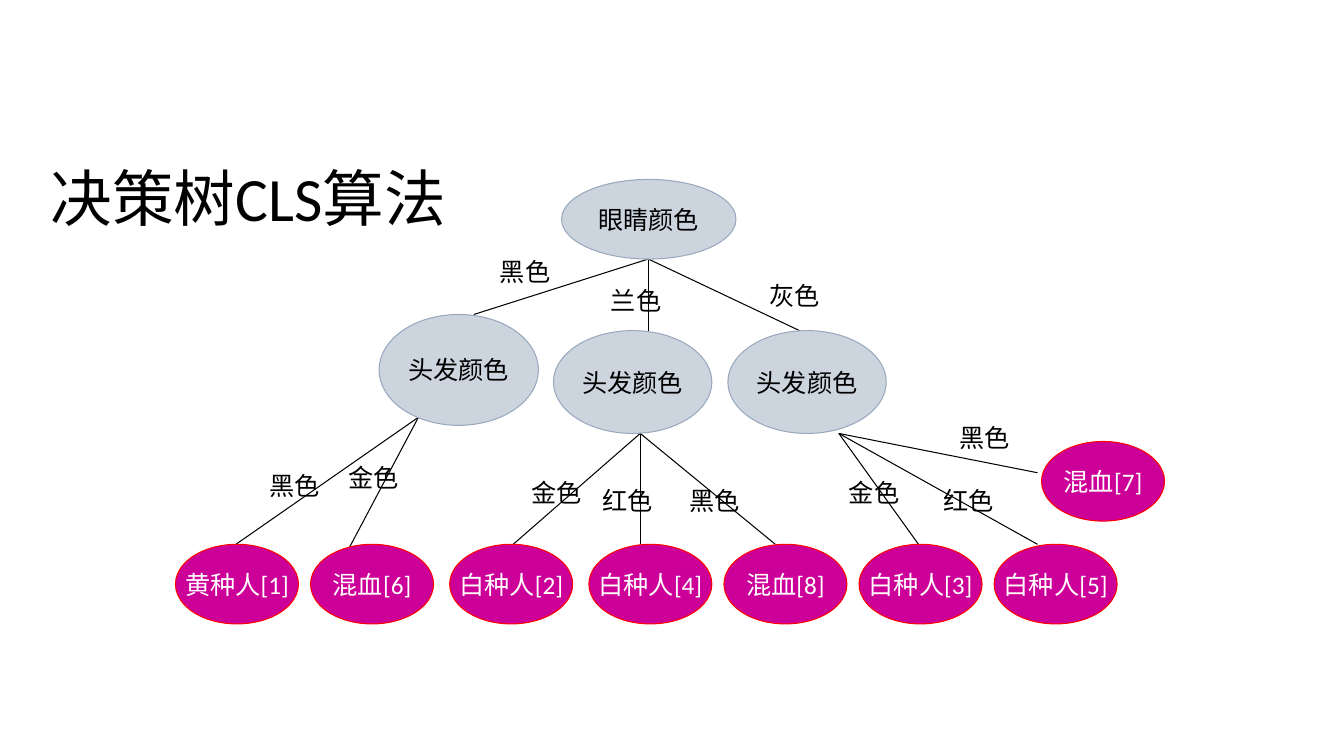
from lxml import etree
from pptx import Presentation
from pptx.dml.color import RGBColor
from pptx.enum.shapes import MSO_CONNECTOR, MSO_SHAPE
from pptx.enum.text import MSO_ANCHOR, MSO_AUTO_SIZE, PP_ALIGN
from pptx.oxml.ns import qn
from pptx.util import Inches, Pt

STRAIGHT = MSO_CONNECTOR.STRAIGHT
OVAL = MSO_SHAPE.OVAL
MIDDLE = MSO_ANCHOR.MIDDLE
LEFT, CENTER = PP_ALIGN.LEFT, PP_ALIGN.CENTER
NO_RESIZE, GROW = MSO_AUTO_SIZE.NONE, MSO_AUTO_SIZE.SHAPE_TO_FIT_TEXT

BLACK, WHITE = "000000", "FFFFFF"
QUESTION_FILL, QUESTION_LINE = "CCD4DE", "99A8BD"
LEAF_FILL, LEAF_LINE = "CC0099", "FF0000"
LINE_WIDTH = Pt(0.75)
LEAF_WIDTH, LEAF_HEIGHT, LEAF_TOP = 1.22, 0.79, 5.4

QUESTIONS = [
    ("眼睛颜色", (5.57, 1.78, 1.73, 0.79)),
    ("头发颜色", (3.76, 3.12, 1.58, 1.1)),
    ("头发颜色", (5.49, 3.28, 1.57, 1.02)),
    ("头发颜色", (7.22, 3.28, 1.57, 1.02)),
]
LEAVES = [
    ("黄种人[1]", 1.74, LEAF_TOP),
    ("混血[6]", 3.08, LEAF_TOP),
    ("白种人[2]", 4.46, LEAF_TOP),
    ("白种人[4]", 5.84, LEAF_TOP),
    ("混血[8]", 7.18, LEAF_TOP),
    ("白种人[3]", 8.52, LEAF_TOP),
    ("白种人[5]", 9.86, LEAF_TOP),
    ("混血[7]", 10.33, 4.38),
]
BRANCHES = [
    ((6.43, 2.57), [
        ("黑色", (4.86, 2.49), (4.7, 3.12)),
        ("兰色", (5.96, 2.78), (6.43, 3.36)),
        ("灰色", (7.53, 2.73), (7.93, 3.28)),
    ]),
    ((4.15, 4.14), [
        ("黑色", (2.57, 4.62), (2.34, LEAF_TOP)),
        ("金色", (3.36, 4.54), (3.44, 5.48)),
    ]),
    ((6.35, 4.3), [
        ("金色", (5.17, 4.69), (5.09, LEAF_TOP)),
        ("红色", (5.88, 4.77), (6.35, LEAF_TOP)),
        ("黑色", (6.74, 4.77), (7.69, LEAF_TOP)),
    ]),
    ((8.32, 4.3), [
        ("金色", (8.32, 4.69), (9.11, LEAF_TOP)),
        ("红色", (9.26, 4.77), (10.29, LEAF_TOP)),
        ("黑色", (9.42, 4.14), (10.29, 4.69)),
    ]),
]


def color(value):
    return RGBColor.from_string(value)


def write_text(shape, text, size, text_color, align):
    para = shape.text_frame.paragraphs[0]
    para.text = text
    para.alignment = align
    para.font.size = Pt(size)
    para.font.name = "Calibri"
    para.font.color.rgb = color(text_color)
    return para


def add_title(slide, box):
    title = slide.shapes.title
    title.left, title.top, title.width, title.height = map(Inches, box)
    title.text_frame.vertical_anchor = MIDDLE
    title.text_frame.auto_size = NO_RESIZE
    para = write_text(title, "决策树CLS算法", 44, BLACK, LEFT)
    para.line_spacing = 0.9


def add_node(slide, box, text, fill, line, text_color):
    node = slide.shapes.add_shape(OVAL, *map(Inches, box))
    node.shadow.inherit = False
    node.fill.solid()
    node.fill.fore_color.rgb = color(fill)
    node.line.color.rgb = color(line)
    node.line.width = LINE_WIDTH
    node.text_frame.word_wrap = False
    node.text_frame.vertical_anchor = MIDDLE
    write_text(node, text, 18, text_color, CENTER)


def add_edge(slide, start, end):
    edge = slide.shapes.add_connector(STRAIGHT, *map(Inches, start + end))
    edge.line.color.rgb = color(BLACK)
    edge.line.width = LINE_WIDTH
    etree.SubElement(edge._element.spPr, qn("a:effectLst"))


def add_label(slide, corner, text):
    label = slide.shapes.add_textbox(*map(Inches, corner + (0.71, 0.4)))
    label.text_frame.word_wrap = False
    label.text_frame.auto_size = GROW
    write_text(label, text, 18, BLACK, LEFT)


def add_tree(slide, box):
    left, top = box

    def place(point):
        return left + point[0], top + point[1]

    for joint, arms in BRANCHES:
        for _, _, end in arms:
            add_edge(slide, place(joint), place(end))
    for text, area in QUESTIONS:
        add_node(slide, place(area) + area[2:], text, QUESTION_FILL, QUESTION_LINE, BLACK)
    for text, *corner in LEAVES:
        area = place(corner) + (LEAF_WIDTH, LEAF_HEIGHT)
        add_node(slide, area, text, LEAF_FILL, LEAF_LINE, WHITE)
    for _, arms in BRANCHES:
        for text, corner, _ in arms:
            add_label(slide, place(corner), text)


def main():
    deck = Presentation()
    deck.slide_width, deck.slide_height = Inches(13.33), Inches(7.5)
    slide = deck.slides.add_slide(deck.slide_layouts[5])
    add_title(slide, (0.4, 1.27, 11.5, 1.45))
    add_tree(slide, (0, 0))
    deck.save("out.pptx")


if __name__ == "__main__":
    main()
